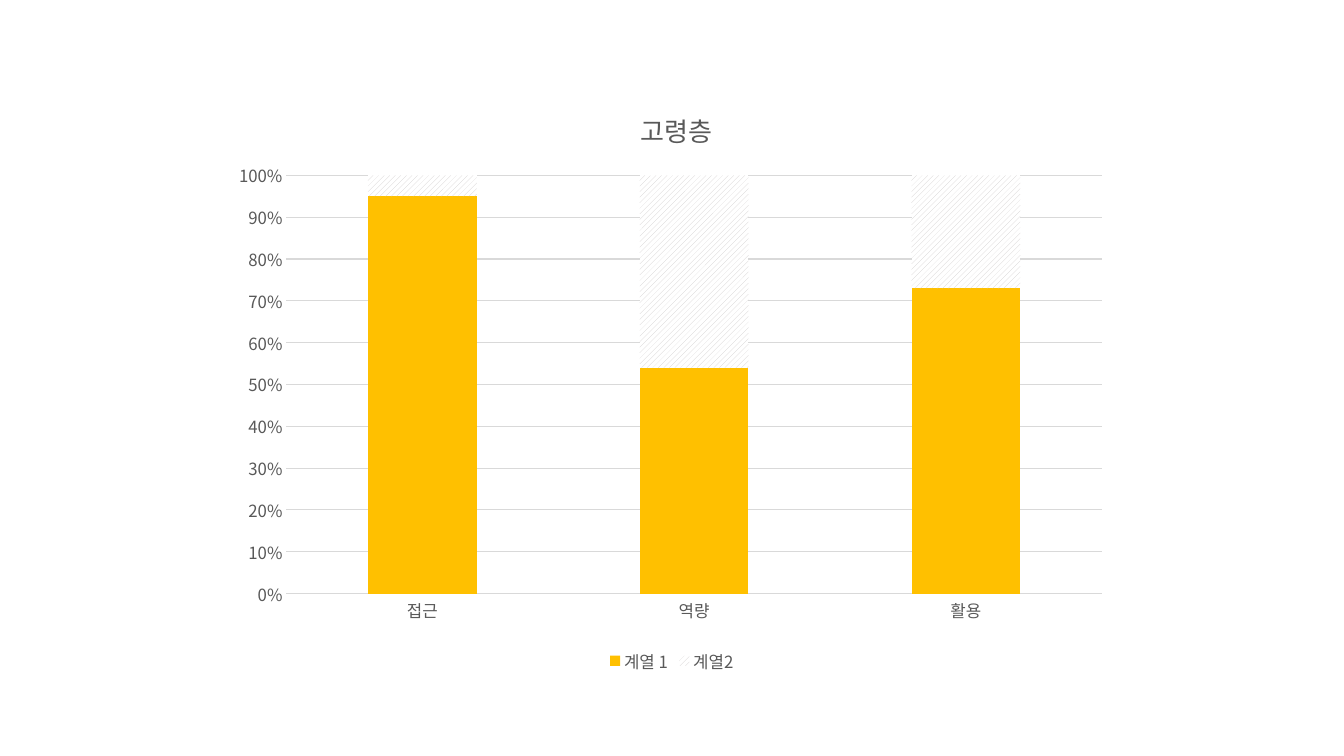
from lxml import etree
from pptx import Presentation
from pptx.chart.data import CategoryChartData as Data
from pptx.dml.color import RGBColor as Rgb
from pptx.enum.chart import XL_CHART_TYPE as Kind, XL_LEGEND_POSITION as Pos, XL_TICK_MARK as Tick
from pptx.enum.dml import MSO_PATTERN as Pat
from pptx.oxml.ns import qn
from pptx.util import Cm, Pt

TITLE = "고령층"
CATS = ["접근", "역량", "활용"]
SERIES = {"계열 1": [95, 54, 73], "계열2": [5, 46, 27]}
FACE = "Noto Sans CJK KR"
COLORS = {"text": "595959", "line": "D9D9D9", "bar": "FFC000", "hatch": "D0CECE", "back": "FFFFFF"}
BOX = [Cm(v) for v in (5.64, 2.01, 22.58, 15.06)]
PLOT = {"x": 0.07, "y": 0.16, "w": 0.91, "h": 0.7}
HEAD = {"x": 0.46, "y": 0.04}


def tint(name):
    return Rgb.from_string(COLORS[name])


def style(font, size):
    for key, val in {"name": FACE, "size": Pt(size), "bold": False}.items():
        setattr(font, key, val)
    font.color.rgb = tint("text")


def rule(line):
    line.color.rgb = tint("line")
    line.width = Pt(0.75)


def place(part, spot, index, inner=False):
    for old in part.findall(qn("c:layout")):
        part.remove(old)
    box = etree.Element(qn("c:layout"))
    part.insert(index, box)
    frame = etree.SubElement(box, qn("c:manualLayout"))
    tags = {"layoutTarget": "inner"} if inner else {}
    tags.update({f"{key}Mode": "edge" for key in "xy"})
    tags.update(spot)
    for tag, val in tags.items():
        etree.SubElement(frame, qn(f"c:{tag}")).set("val", str(val))


def draw(slide):
    data = Data()
    data.categories = CATS
    for name, vals in SERIES.items():
        data.add_series(name, vals)
    chart = slide.shapes.add_chart(Kind.COLUMN_STACKED_100, *BOX, data).chart
    style(chart.font, 10)

    chart.has_title = True
    text = chart.chart_title.text_frame
    text.text = TITLE
    style(text.paragraphs[0].runs[0].font, 18.6)
    chart.chart_title.include_in_layout = False

    chart.has_legend = True
    legend = chart.legend
    for key, val in {"position": Pos.BOTTOM, "include_in_layout": False}.items():
        setattr(legend, key, val)
    style(legend.font, 12)

    cat, val = chart.category_axis, chart.value_axis
    for axis in (cat, val):
        axis.major_tick_mark = axis.minor_tick_mark = Tick.NONE
        style(axis.tick_labels.font, 12)
    rule(cat.format.line)
    val.format.line.fill.background()
    rule(val.major_gridlines.format.line)
    for key, num in {"minimum_scale": 0, "maximum_scale": 1, "major_unit": 0.1}.items():
        setattr(val, key, num)
    val.tick_labels.number_format = "0%"
    val.tick_labels.number_format_is_linked = False

    plot = chart.plots[0]
    for key, num in {"gap_width": 150, "overlap": 100, "vary_by_categories": False}.items():
        setattr(plot, key, num)
    bar, rest = (ser.format.fill for ser in plot.series)
    bar.solid()
    bar.fore_color.rgb = tint("bar")
    rest.patterned()
    rest.pattern = Pat.WIDE_UPWARD_DIAGONAL
    rest.fore_color.rgb = tint("hatch")
    rest.back_color.rgb = tint("back")

    root = chart.element
    place(root.find(".//" + qn("c:plotArea")), PLOT, 0, True)
    place(root.find(".//" + qn("c:title")), HEAD, 1)
    for latin in list(root.iter(qn("a:latin"))):
        asian = etree.Element(qn("a:ea"))
        asian.set("typeface", FACE)
        latin.addnext(asian)


def main():
    """Build the slide with the stacked column chart for older people."""
    deck = Presentation()
    deck.slide_width, deck.slide_height = Cm(33.87), Cm(19.05)
    draw(deck.slides.add_slide(deck.slide_layouts[6]))
    deck.save("out.pptx")


if __name__ == "__main__":
    main()
